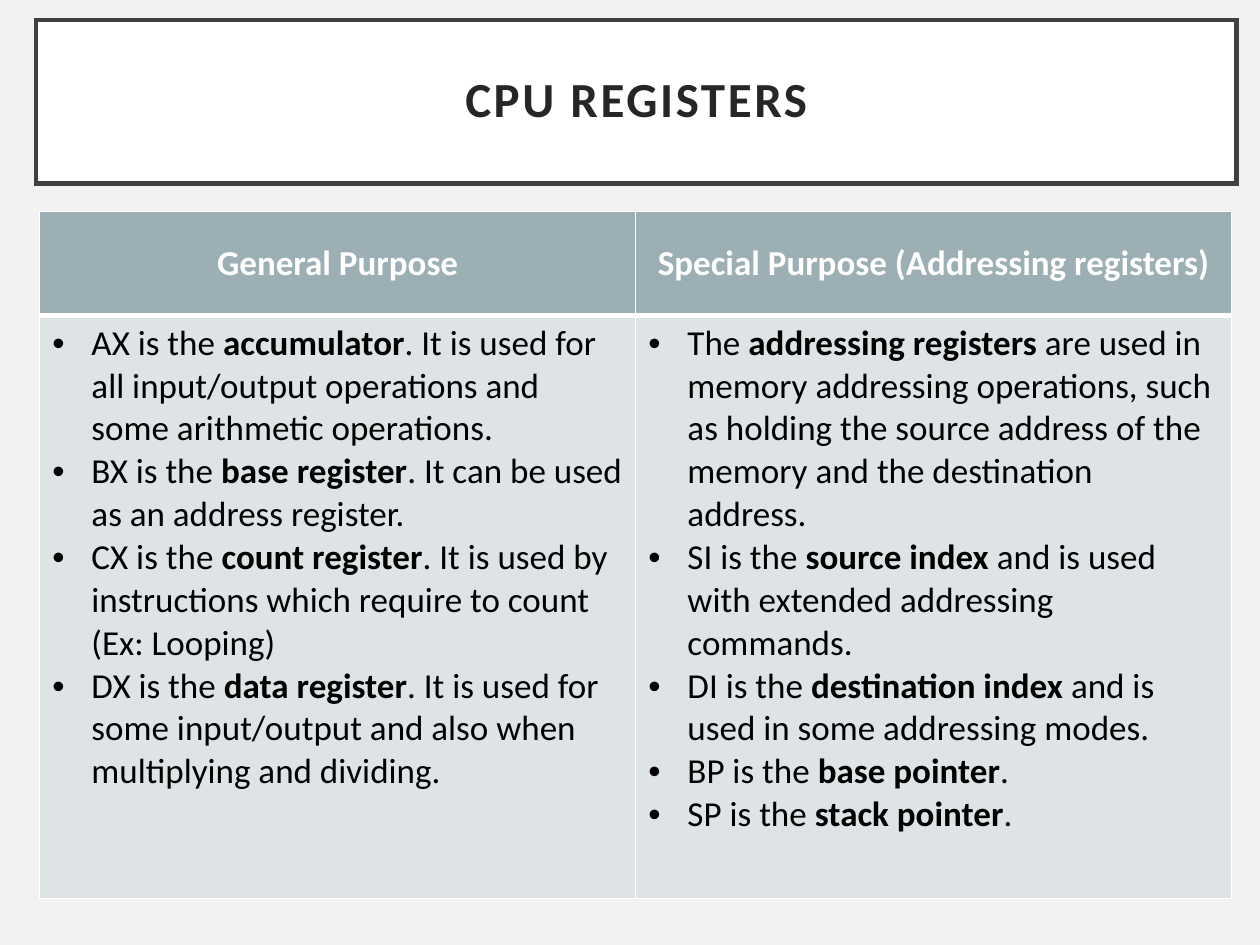
from dataclasses import dataclass

from lxml import etree
from pptx import Presentation
from pptx.dml.color import RGBColor
from pptx.enum.shapes import MSO_SHAPE
from pptx.enum.text import MSO_ANCHOR, PP_ALIGN
from pptx.oxml.ns import qn
from pptx.util import Cm, Pt

RECTANGLE = MSO_SHAPE.RECTANGLE
CENTER = PP_ALIGN.CENTER
MIDDLE = MSO_ANCHOR.MIDDLE


@dataclass(frozen=True)
class Theme:
    font: str = "Calibri"
    background: str = "F2F2F2"
    white: str = "FFFFFF"
    frame: str = "404040"
    title: str = "262626"
    header: str = "9BAFB5"
    body: str = "DEE3E5"
    text: str = "000000"
    title_size: float = 28
    table_size: float = 20


THEME = Theme()

HEADINGS = ["General Purpose", "Special Purpose (Addressing registers)"]

# Each bullet: plain lead-in, bold term, plain rest
REGISTERS = [
    [
        ("AX is the ", "accumulator",
         ". It is used for all input/output operations and some arithmetic operations."),
        ("BX is the ", "base register", ". It can be used as an address register."),
        ("CX is the ", "count register",
         ". It is used by instructions which require to count (Ex: Looping)"),
        ("DX is the ", "data register",
         ". It is used for some input/output and also when multiplying and dividing."),
    ],
    [
        ("The ", "addressing registers ",
         "are used in memory addressing operations, such as holding the source "
         "address of the memory and the destination address."),
        ("SI is the ", "source index ", "and is used with extended addressing commands."),
        ("DI is the ", "destination index ", "and is used in some addressing modes."),
        ("BP is the ", "base pointer", "."),
        ("SP is the ", "stack pointer", "."),
    ],
]


def color(name):
    return RGBColor.from_string(name)


def set_font(font, size, color_name, bold=None):
    font.name = THEME.font
    font.size = Pt(size)
    font.color.rgb = color(color_name)
    font.bold = bold


def add_title(slide, left, top, width, height):
    shape = slide.shapes.add_shape(RECTANGLE, left, top, width, height)
    shape.shadow.inherit = False
    shape.fill.solid()
    shape.fill.fore_color.rgb = color(THEME.white)
    shape.line.color.rgb = color(THEME.frame)
    shape.line.width = Pt(2.5)
    outline = shape._element.spPr.find(qn("a:ln"))
    etree.SubElement(outline, qn("a:miter"), lim="800000")
    frame = shape.text_frame
    frame.word_wrap = True
    frame.vertical_anchor = MIDDLE
    frame.margin_left = frame.margin_right = Cm(0.5)
    frame.margin_top = frame.margin_bottom = Cm(0.5)
    paragraph = frame.paragraphs[0]
    paragraph.alignment = CENTER
    paragraph.line_spacing = 0.9
    set_font(paragraph.font, THEME.title_size, THEME.title, bold=True)
    run = paragraph.add_run()
    run.text = "CPU REGISTERS"
    run.font._element.set("spc", "150")


def style_cell(cell, fill, top_width, bottom_width):
    """Give a cell white borders (widths in points) and a solid fill."""
    properties = cell._tc.get_or_add_tcPr()
    widths = {"a:lnL": 1, "a:lnR": 1, "a:lnT": top_width, "a:lnB": bottom_width}
    for tag, width in widths.items():
        line = etree.SubElement(properties, qn(tag), w=str(Pt(width)))
        solid = etree.SubElement(line, qn("a:solidFill"))
        etree.SubElement(solid, qn("a:srgbClr"), val=THEME.white)
    cell.fill.solid()
    cell.fill.fore_color.rgb = color(fill)


def add_bullet(paragraph, parts):
    properties = paragraph._p.get_or_add_pPr()
    indent = Cm(0.79)
    properties.set("marL", str(indent))
    properties.set("indent", str(-indent))
    etree.SubElement(properties, qn("a:buFont"), typeface="Arial")
    etree.SubElement(properties, qn("a:buChar"), char="•")
    set_font(paragraph.font, THEME.table_size, THEME.text)
    for index, text in enumerate(parts):
        run = paragraph.add_run()
        run.text = text
        run.font.bold = index == 1


def add_register_table(slide, left, top, width, height):
    header_height = Cm(2.1)
    table = slide.shapes.add_table(2, len(HEADINGS), left, top, width, height).table
    table.horz_banding = False
    table.rows[0].height = header_height
    table.rows[1].height = height - header_height
    for column, (heading, bullets) in enumerate(zip(HEADINGS, REGISTERS)):
        header = table.cell(0, column)
        style_cell(header, THEME.header, top_width=1, bottom_width=3)
        header.vertical_anchor = MIDDLE
        header.text = heading
        paragraph = header.text_frame.paragraphs[0]
        paragraph.alignment = CENTER
        set_font(paragraph.font, THEME.table_size, THEME.white, bold=True)

        body = table.cell(1, column)
        style_cell(body, THEME.body, top_width=3, bottom_width=1)
        frame = body.text_frame
        for index, parts in enumerate(bullets):
            paragraph = frame.add_paragraph() if index else frame.paragraphs[0]
            add_bullet(paragraph, parts)


def main():
    presentation = Presentation()
    presentation.slide_width = Cm(25.4)
    presentation.slide_height = Cm(19.05)
    slide = presentation.slides.add_slide(presentation.slide_layouts[6])
    slide.background.fill.solid()
    slide.background.fill.fore_color.rgb = color(THEME.background)
    add_title(slide, Cm(0.73), Cm(0.4), Cm(24.2), Cm(3.3))
    add_register_table(slide, Cm(0.8), Cm(4.26), Cm(24.03), Cm(13.85))
    presentation.save("out.pptx")


if __name__ == "__main__":
    main()
